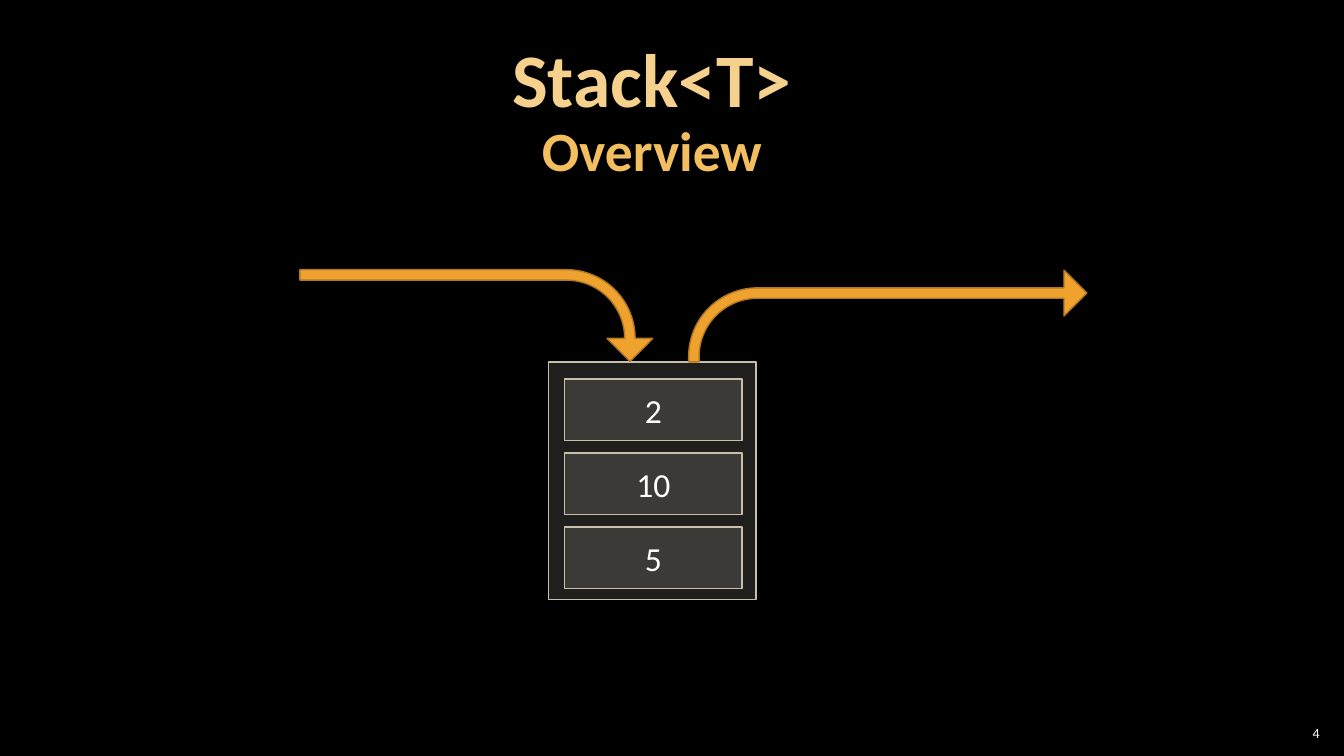
from lxml import etree
from pptx import Presentation
from pptx.dml.color import RGBColor
from pptx.enum import shapes, text
from pptx.oxml.ns import qn
from pptx.util import Inches, Pt

BLACK = RGBColor(0x00, 0x00, 0x00)
WHITE = RGBColor(0xFF, 0xFF, 0xFF)
TITLE = RGBColor(0xF6, 0xD1, 0x8E)
SUBTITLE = RGBColor(0xF3, 0xBE, 0x60)
BOX_FILL = RGBColor(0xD9, 0xD5, 0xC7)
BOX_LINE = RGBColor(0xC7, 0xBF, 0xAC)
ARROW_FILL = RGBColor(0xF0, 0xA2, 0x2E)
ARROW_LINE = RGBColor(0xB2, 0x78, 0x22)


def write(p, words, size, color=WHITE, bold=False, align=text.PP_ALIGN.CENTER):
    p.alignment = align
    r = p.add_run()
    r.text = words
    r.font.name = "Calibri"
    r.font.size = Pt(size)
    r.font.bold = bold
    r.font.color.rgb = color


def add_shape(kind, box, fill, line, opacity=100):
    sp = s.shapes.add_shape(kind, *map(Inches, box))
    sp.shadow.inherit = False
    sp.fill.solid()
    sp.fill.fore_color.rgb = fill
    sp.line.color.rgb = line
    sp.line.width = Pt(1)
    if opacity < 100:
        color = sp._element.spPr.find(qn("a:solidFill"))[0]
        etree.SubElement(color, qn("a:alpha"), val=str(opacity * 1000))
    return sp


prs = Presentation()
prs.slide_width, prs.slide_height = Inches(13.33), Inches(7.5)
s = prs.slides.add_slide(prs.slide_layouts[5])
s.background.fill.solid()
s.background.fill.fore_color.rgb = BLACK

# Title with subtitle line
sp = s.shapes.title
sp.left, sp.top, sp.width, sp.height = map(Inches, (0.1, 0.38, 12.73, 2.08))
tf = sp.text_frame
tf.vertical_anchor = text.MSO_ANCHOR.TOP
tf.auto_size = text.MSO_AUTO_SIZE.NONE
tf.margin_left = tf.margin_right = Inches(0.12)
tf.margin_top = tf.margin_bottom = Inches(0.04)
p = tf.paragraphs[0]
p.line_spacing = 0.9
write(p, "Stack<T>", 54, TITLE, bold=True)
p.add_line_break()
write(p, "Overview", 39.6, SUBTITLE, bold=True)

# Stack container and its elements, top first
RECT = shapes.MSO_SHAPE.RECTANGLE
add_shape(RECT, (5.44, 3.59, 2.06, 2.36), BOX_FILL, BOX_LINE, opacity=15)
for i, value in enumerate(("2", "10", "5")):
    box = (5.6, 3.76 + i * 0.735, 1.76, 0.61)
    sp = add_shape(RECT, box, BOX_FILL, BOX_LINE, opacity=15)
    tf = sp.text_frame
    tf.margin_left = tf.margin_right = Inches(0.2)
    tf.margin_top = tf.margin_bottom = Inches(0.1)
    write(tf.paragraphs[0], value, 24)

# Push and pop arrows
for box, rotation in (((4.27, 1.38, 0.91, 3.5), 90), ((6.83, 2.68, 3.95, 0.91), 0)):
    sp = add_shape(shapes.MSO_SHAPE.BENT_ARROW, box, ARROW_FILL, ARROW_LINE)
    sp.rotation = rotation
    for i, value in enumerate((0.114, 0.25, 0.25, 0.75)):
        sp.adjustments[i] = value

# Slide number
sp = s.shapes.add_textbox(*map(Inches, (12.66, 7.17, 0.47, 0.21)))
tf = sp.text_frame
tf.word_wrap = True
tf.vertical_anchor = text.MSO_ANCHOR.MIDDLE
tf.margin_left = tf.margin_right = tf.margin_top = tf.margin_bottom = Inches(0.04)
write(tf.paragraphs[0], "4", 10, align=text.PP_ALIGN.RIGHT)

prs.save("out.pptx")
